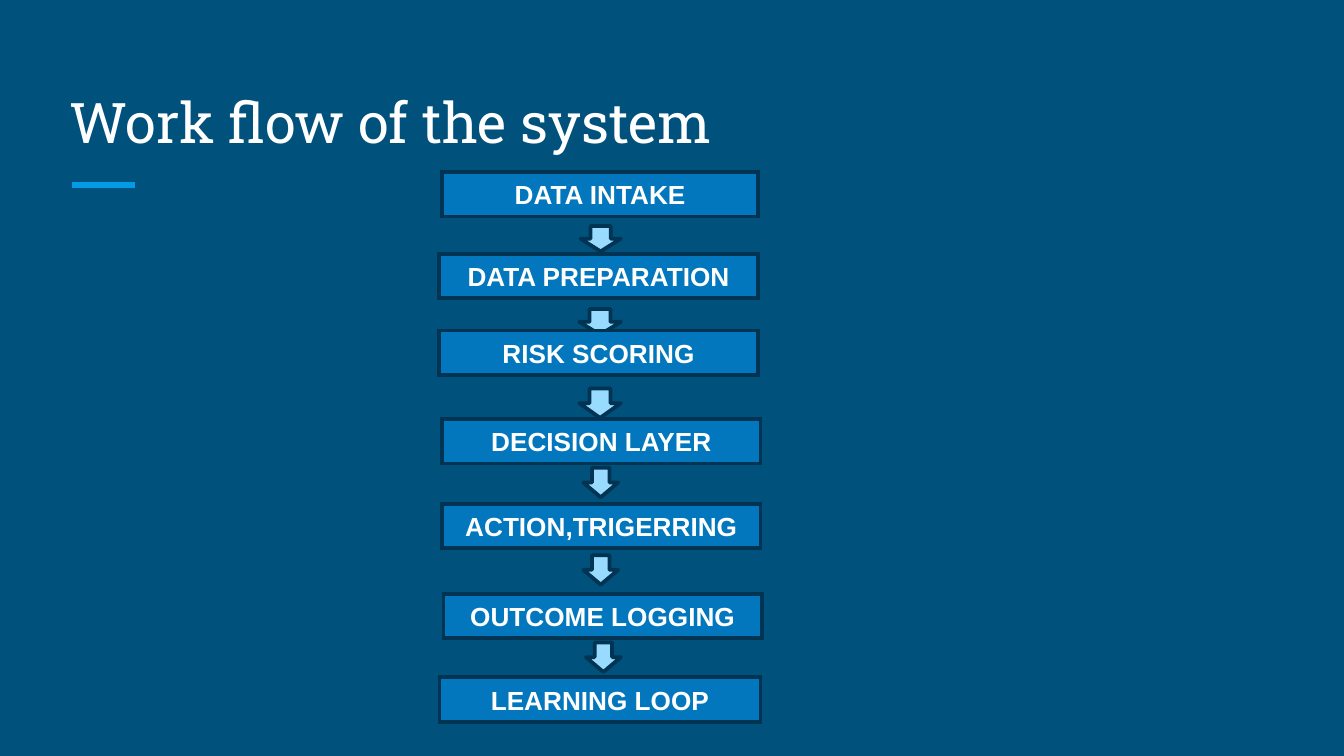
from lxml.etree import SubElement
from pptx import Presentation
from pptx.dml.color import RGBColor
from pptx.enum.shapes import MSO_CONNECTOR, MSO_SHAPE
from pptx.enum.text import MSO_ANCHOR, PP_ALIGN
from pptx.oxml.ns import qn
from pptx.util import Pt

STEPS = [
    ("DATA INTAKE", 236.9, 92.2, 169.2),
    ("DATA PREPARATION", 235.4, 136.1, 170.6),
    ("RISK SCORING", 235.4, 177.1, 170.6),
    ("DECISION LAYER", 236.9, 224.6, 170.6),
    ("ACTION,TRIGERRING", 236.9, 270, 170.6),
    ("OUTCOME LOGGING", 237.6, 318.2, 170.6),
    ("LEARNING LOOP", 235.4, 362.9, 172.1),
]
STEP_HEIGHT = 23.8
ARROWS = [
    (311, 121, 21.6, 13.7),
    (310.3, 165.6, 22.3, 13.7),
    (310.3, 208.1, 22.3, 15.8),
    (312.5, 250.6, 18.7, 15.8),
    (312.5, 297.4, 18.7, 15.8),
    (313.9, 344.2, 18.7, 15.8),
]


def color(value):
    return RGBColor.from_string(value)


def style_text(tf, text, font, size, bold=False):
    tf.text = text
    p = tf.paragraphs[0]
    r = p.runs[0]
    r.font.name = font
    r.font.size = Pt(size)
    r.font.bold = bold
    r.font.color.rgb = color("FFFFFF")
    return p


def add_title(s, text):
    sp = s.shapes.add_textbox(Pt(30.2), Pt(36), Pt(658.8), Pt(54))
    tf = sp.text_frame
    tf.word_wrap = True
    tf.vertical_anchor = MSO_ANCHOR.BOTTOM
    tf.margin_left = tf.margin_right = Pt(7.2)
    tf.margin_top = tf.margin_bottom = Pt(7.2)
    style_text(tf, text, "Roboto Slab", 30)


def add_accent(s):
    line = s.shapes.add_connector(
        MSO_CONNECTOR.STRAIGHT, Pt(38.6), Pt(99), Pt(72.2), Pt(99))
    line.line.color.rgb = color("039BE5")
    line.line.width = Pt(3)
    SubElement(line._element.spPr, qn("a:effectLst"))


def add_block(s, kind, box, fill):
    sp = s.shapes.add_shape(kind, *[Pt(v) for v in box])
    sp.shadow.inherit = False
    sp.fill.solid()
    sp.fill.fore_color.rgb = color(fill)
    sp.line.color.rgb = color("013453")
    sp.line.width = Pt(2)
    return sp


def add_step(s, text, left, top, width):
    box = (left, top, width, STEP_HEIGHT)
    sp = add_block(s, MSO_SHAPE.RECTANGLE, box, "0277BD")
    SubElement(sp.line._get_or_add_ln(), qn("a:miter"), lim="800000")
    tf = sp.text_frame
    tf.word_wrap = True
    tf.vertical_anchor = MSO_ANCHOR.MIDDLE
    p = style_text(tf, text, "Arial", 14, bold=True)
    p.alignment = PP_ALIGN.CENTER


def main():
    prs = Presentation()
    prs.slide_width, prs.slide_height = Pt(720), Pt(405)
    s = prs.slides.add_slide(prs.slide_layouts[6])
    s.background.fill.solid()
    s.background.fill.fore_color.rgb = color("00517C")
    add_accent(s)
    add_title(s, "Work flow of the system")
    for box in ARROWS:
        add_block(s, MSO_SHAPE.DOWN_ARROW, box, "99DAFF")
    for step in STEPS:
        add_step(s, *step)
    prs.save("out.pptx")


if __name__ == "__main__":
    main()
